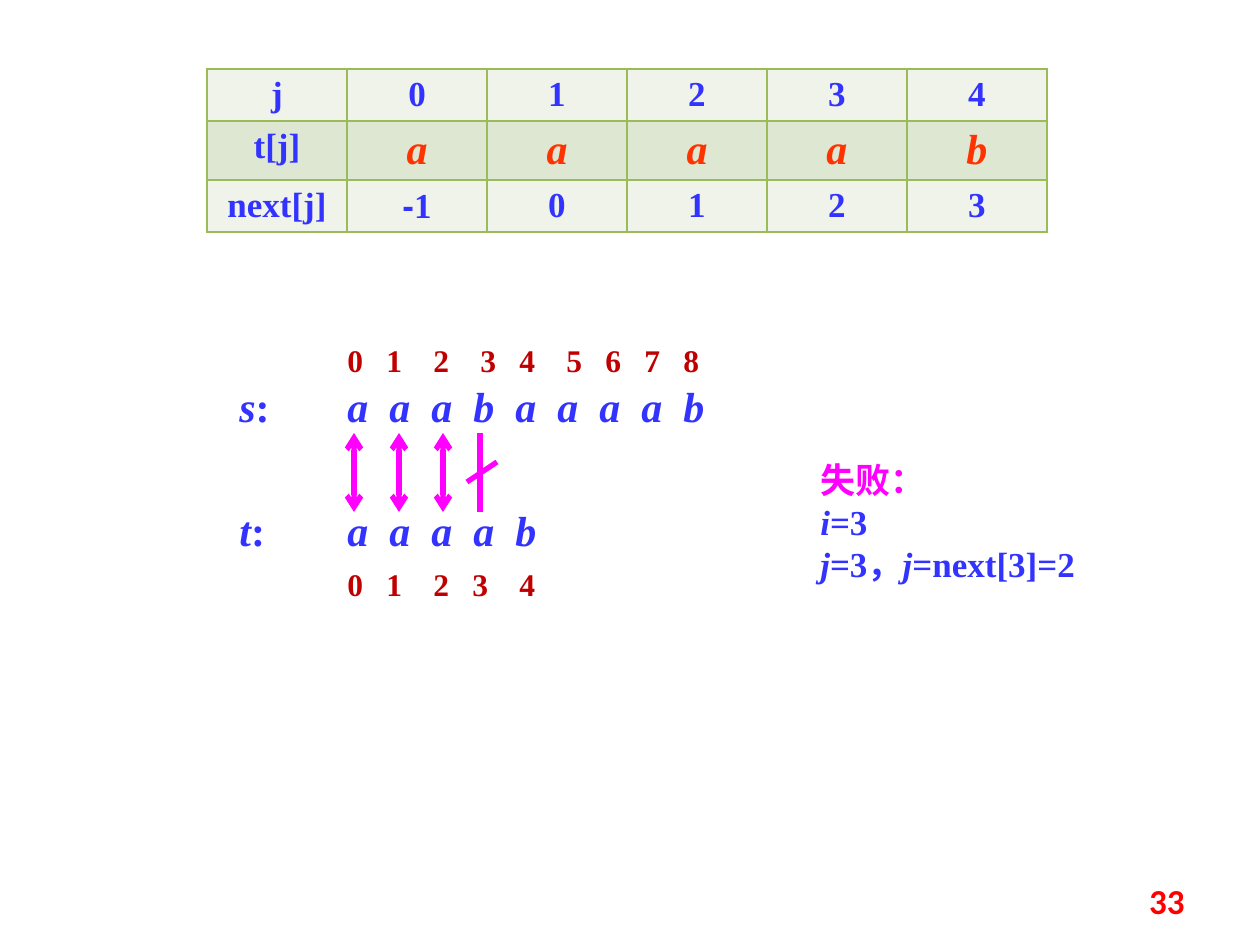
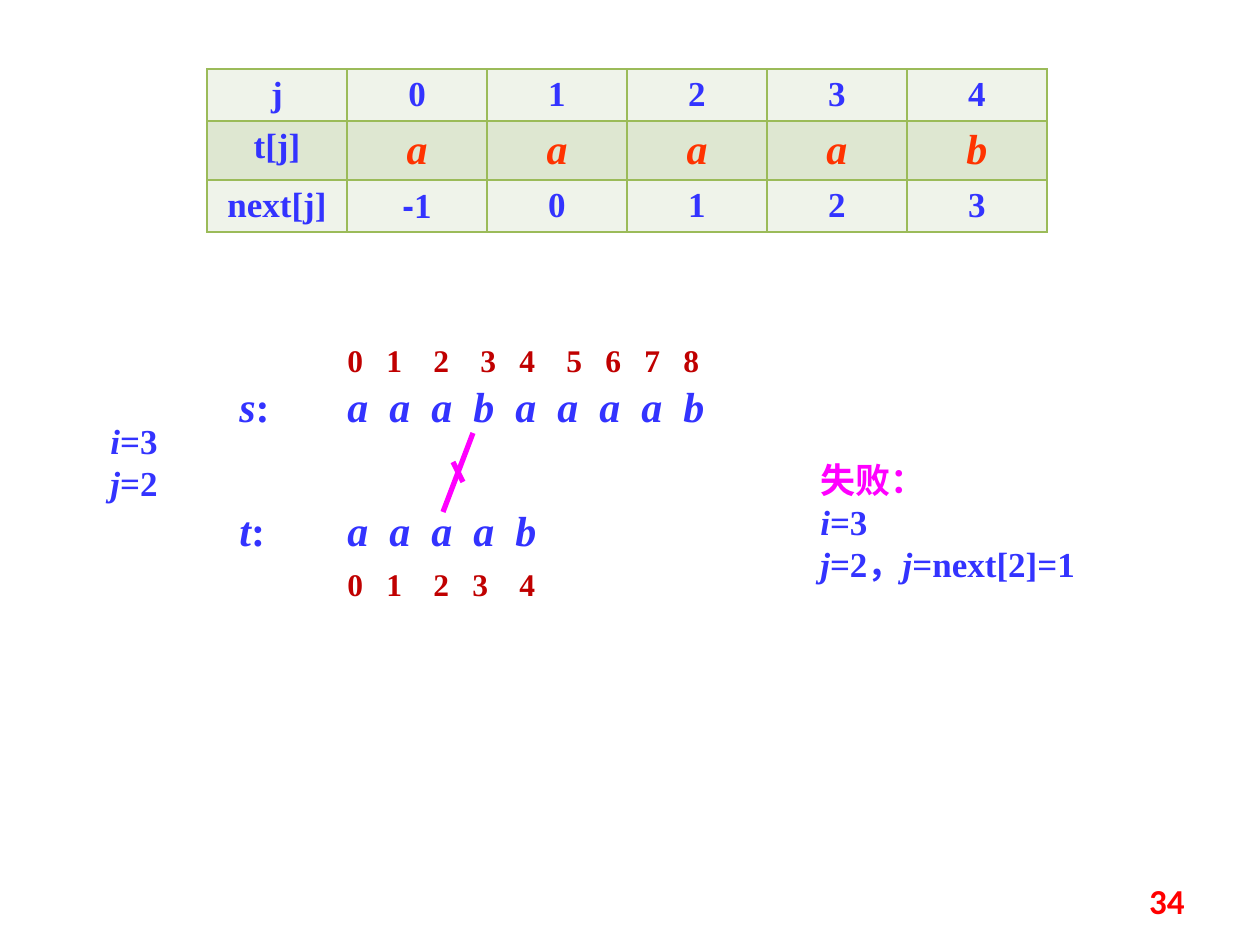
from lxml.etree import SubElement
from pptx import Presentation
from pptx.dml.color import RGBColor
from pptx.enum.shapes import MSO_CONNECTOR
from pptx.enum.text import MSO_ANCHOR, MSO_AUTO_SIZE, PP_ALIGN
from pptx.oxml.ns import qn
from pptx.util import Emu, Pt

SERIF, HAN = "Times New Roman", "Noto Sans CJK SC"
BLUE, RED, PINK, DARK = "3333FF", "FF3300", "FF00FF", "C00000"
GREEN, PALE, SAGE = "9BBB59", "EFF3EA", "DEE7D1"
TOP, END = 433, 512  # span between the rows of s and t
STEP = 42  # pitch of the letters
NEAR, FAR = 39, 47  # gaps between the index digits


def px(n):
    return Emu(round(n * 914400 / 126))


def rgb(code):
    return RGBColor.from_string(code)


def set_tabs(para, stops):
    tabs = SubElement(para._p.get_or_add_pPr(), qn("a:tabLst"))
    for stop in stops:
        SubElement(tabs, qn("a:tab"), pos=str(px(stop)), algn="l")


def write(para, text, size, color, name=SERIF, italic=None):
    """Fill a paragraph; parts between asterisks are italic."""
    font = para.font
    font.size, font.bold, font.name = Pt(size), True, name
    font.color.rgb = rgb(color)
    SubElement(para._p.pPr.find(qn("a:defRPr")), qn("a:ea"), typeface=HAN)
    if "*" not in text:
        font.italic = italic
        para.add_run().text = text
        return
    for i, part in enumerate(text.split("*")):
        if part:
            run = para.add_run()
            run.text = part
            run.font.italic = i % 2 == 1


def add_box(slide, x, y, w, h):
    frame = slide.shapes.add_textbox(px(x), px(y), px(w), px(h)).text_frame
    frame.word_wrap = True
    frame.auto_size = MSO_AUTO_SIZE.SHAPE_TO_FIT_TEXT
    return frame


def add_lines(slide, place, lines):
    """Add a box with one paragraph for each (text, color, font)."""
    frame = add_box(slide, *place)
    for i, (text, color, name) in enumerate(lines):
        para = frame.add_paragraph() if i else frame.paragraphs[0]
        write(para, text, 20, color, name)


def add_row(slide, place, items, stops, size, color, italic=False):
    """Set single characters apart with tab stops."""
    para = add_box(slide, *place).paragraphs[0]
    set_tabs(para, stops)
    write(para, "\t".join(items), size, color, italic=italic)


def add_name(slide, y, name):
    write(add_box(slide, 227, y, 88, 63).paragraphs[0], f"*{name}*:", 24, BLUE)


def add_line(shapes, x1, y1, x2, y2, arrows=False):
    line = shapes.add_connector(MSO_CONNECTOR.STRAIGHT,
                                px(x1), px(y1), px(x2), px(y2))
    line.line.color.rgb = rgb(PINK)
    line.line.width = Pt(3)
    if arrows:
        stroke = line.line._get_or_add_ln()
        for end in ("a:headEnd", "a:tailEnd"):
            SubElement(stroke, qn(end), type="arrow")
    SubElement(line._element.spPr, qn("a:effectLst"))


def add_cross(slide, stem, slash):
    """Join two letters that differ by a struck-out line."""
    group = slide.shapes.add_group_shape()
    add_line(group.shapes, *stem)
    add_line(group.shapes, *slash)


def set_border(cell):
    props = cell._tc.get_or_add_tcPr()
    for i, side in enumerate(("a:lnL", "a:lnR", "a:lnT", "a:lnB")):
        edge = SubElement(props, qn(side), w=str(Pt(1)))
        fill = SubElement(edge, qn("a:solidFill"))
        SubElement(fill, qn("a:srgbClr"), val=GREEN)
        props.insert(i, edge)


def add_next(slide):
    """Add the table of next values for the pattern t."""
    rows = [["j", *"01234"], ["t[j]", *"aaaab"], ["next[j]", "-1", *"0123"]]
    table = slide.shapes.add_table(3, 6, px(207), px(69),
                                   px(840), px(156)).table
    table.first_row = table.horz_banding = False
    for col in table.columns:
        col.width = px(140)
    for r, row in enumerate(rows):
        table.rows[r].height = px(52)
        for c, text in enumerate(row):
            cell = table.cell(r, c)
            cell.fill.solid()
            cell.fill.fore_color.rgb = rgb(SAGE if r == 1 else PALE)
            set_border(cell)
            para = cell.text_frame.paragraphs[0]
            para.alignment = PP_ALIGN.CENTER
            if r == 1 and c:
                write(para, text, 24, RED, italic=True)
            elif text.startswith("-"):
                write(para, "-", 20, BLUE)
                para.runs[0].font.name = "Arial"
                para.add_run().text = text[1:]
            else:
                write(para, text, 20, BLUE)


def sums(gaps):
    return [sum(gaps[:i + 1]) for i in range(len(gaps))]


def add_strings(slide):
    """Add s and t with their indexes."""
    steps = [STEP * i for i in range(1, 9)]
    above = sums([NEAR, FAR, FAR, NEAR, FAR, NEAR, NEAR, NEAR])
    below = sums([NEAR, FAR, NEAR, FAR])
    add_row(slide, (335, 374, 423, 63), "aaabaaaab", steps, 24, BLUE, True)
    add_name(slide, 374, "s")
    add_row(slide, (335, 335, 413, 50), "012345678", above, 18, DARK)
    add_row(slide, (335, 498, 423, 63), "aaaab", steps[:4], 24, BLUE, True)
    add_name(slide, 498, "t")
    add_row(slide, (335, 559, 246, 50), "01234", below, 18, DARK)


def add_fail(slide, j, after):
    add_lines(slide, (808, 452, 315, 140), [
        ("失败：", PINK, HAN),
        ("*i*=3", BLUE, SERIF),
        (f"*j*={j}，*j*=next[{j}]={after}", BLUE, SERIF)])


def add_page(slide, number):
    frame = add_box(slide, 903, 876, 294, 50)
    frame.auto_size = MSO_AUTO_SIZE.NONE
    frame.vertical_anchor = MSO_ANCHOR.MIDDLE
    para = frame.paragraphs[0]
    para.alignment = PP_ALIGN.RIGHT
    write(para, str(number), 20, "FF0000", "Calibri")


def add_slide(deck, number, j, after):
    slide = deck.slides.add_slide(deck.slide_layouts[6])
    add_next(slide)
    add_strings(slide)
    add_fail(slide, j, after)
    add_page(slide, number)
    return slide


def main():
    deck = Presentation()
    deck.slide_width, deck.slide_height = px(1260), px(945)

    first = add_slide(deck, 33, 3, 2)
    for x in (354, 399, 443):
        add_line(first.shapes, x, TOP, x, END, arrows=True)
    add_cross(first, (480, TOP, 480, END), (497, 462, 467, 482))

    second = add_slide(deck, 34, 2, 1)
    add_cross(second, (473, TOP, 443, END), (453, 462, 463, 482))
    add_lines(second, (98, 413, 98, 97),
              [("*i*=3", BLUE, SERIF), ("*j*=2", BLUE, SERIF)])

    deck.save("out.pptx")


if __name__ == "__main__":
    main()
